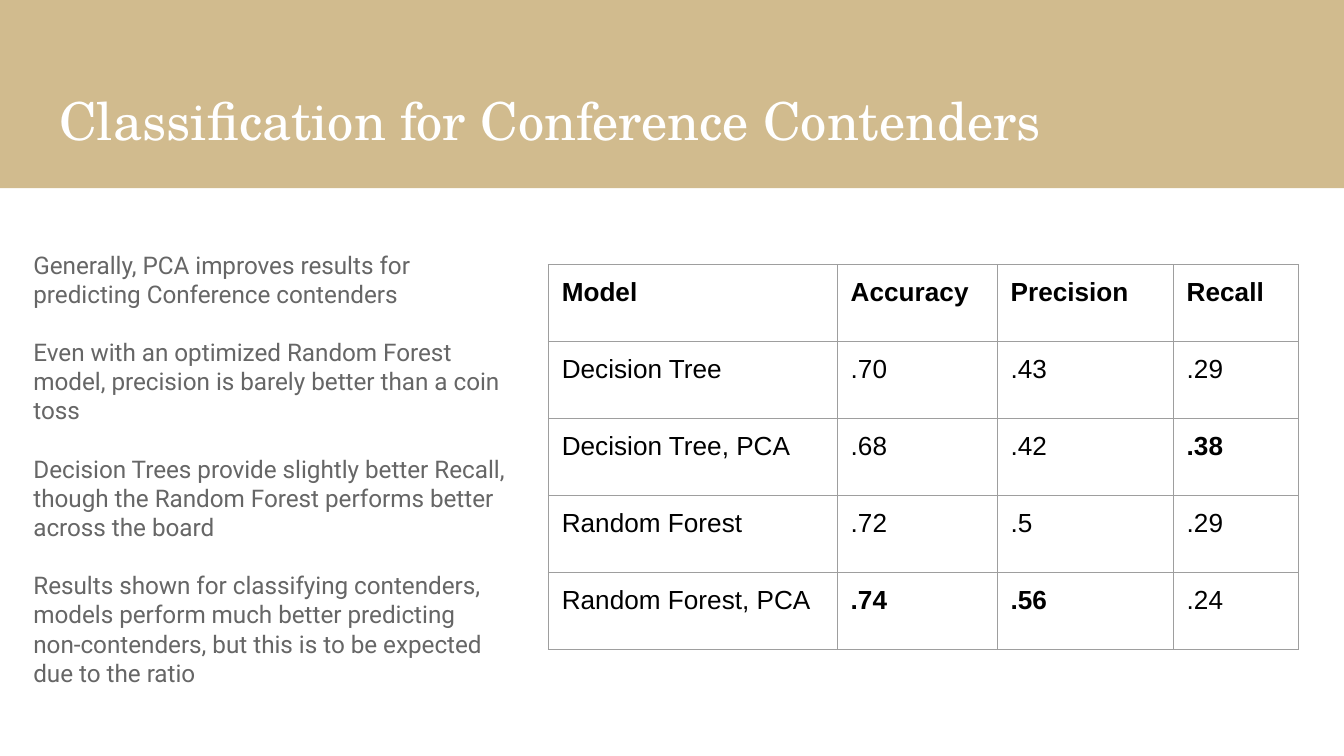
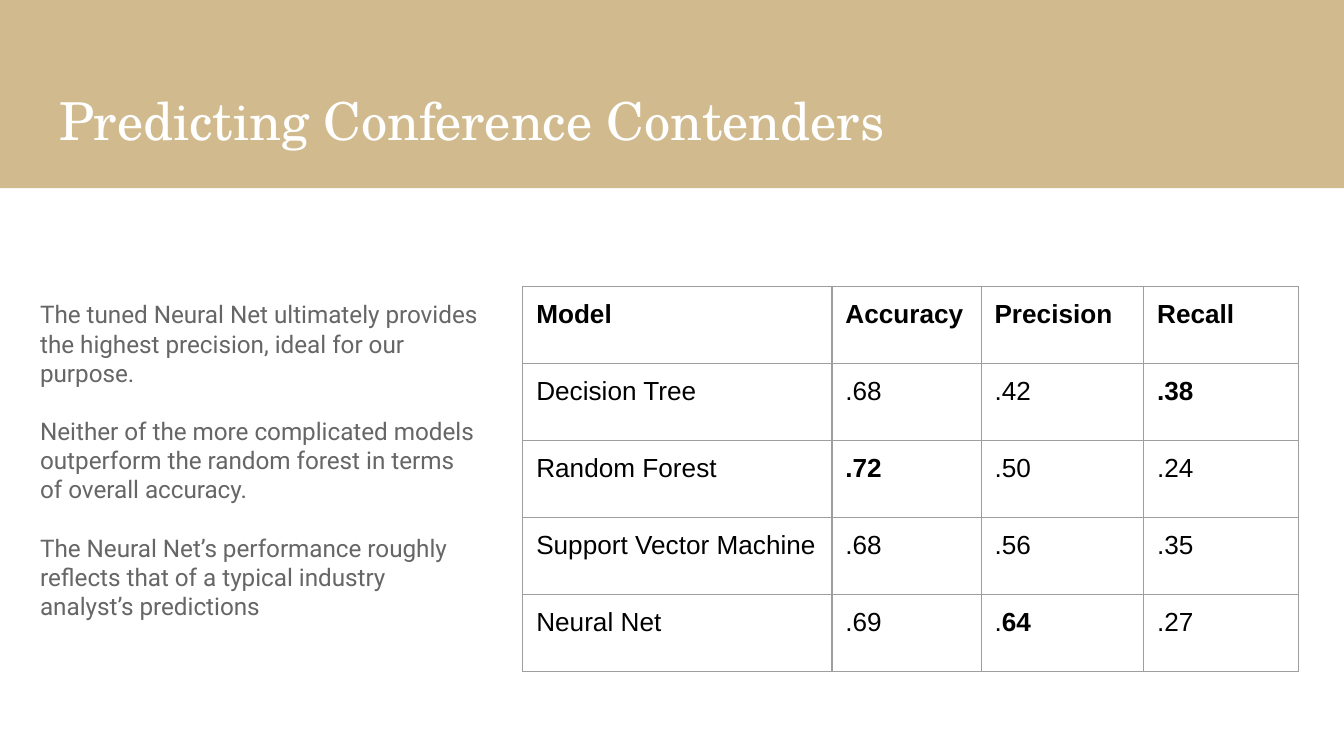
from lxml import etree
from pptx import Presentation
from pptx.dml.color import RGBColor
from pptx.enum.shapes import MSO_SHAPE
from pptx.enum.text import MSO_ANCHOR, PP_ALIGN
from pptx.oxml.ns import qn
from pptx.util import Inches, Pt

RECT = MSO_SHAPE.RECTANGLE
TOP, MIDDLE = MSO_ANCHOR.TOP, MSO_ANCHOR.MIDDLE
LEFT = PP_ALIGN.LEFT
COLUMNS = 100
HEADER = ["Model", "Accuracy", "Precision", "Recall"]


def rgb(value):
    return RGBColor.from_string(value)


def write(p, text, size=14, font="Arial", color="000000", bold=False):
    r = p.add_run()
    r.text = text
    r.font.size = Pt(size)
    r.font.name = font
    r.font.color.rgb = rgb(color)
    r.font.bold = bold


def border(cell, color, width):
    tc_pr = cell._tc.get_or_add_tcPr()
    for i, side in enumerate(("lnL", "lnR", "lnT", "lnB")):
        ln = etree.Element(qn(f"a:{side}"), w=str(Pt(width)))
        fill = etree.SubElement(ln, qn("a:solidFill"))
        etree.SubElement(fill, qn("a:srgbClr"), val=color)
        tc_pr.insert(i, ln)


class Deck:
    GOLD, WHITE, GRAY, RULE = "D1BB8E", "FFFFFF", "666666", "9E9E9E"
    TITLE_FONT, BODY_FONT = "TeX Gyre Schola", "Roboto"
    RIGHT = 96.6
    ROW = 5.73

    def __init__(self):
        self.prs = Presentation()
        self.prs.slide_width = Inches(10)
        self.prs.slide_height = self.prs.slide_width * 9 // 16
        self.s = None

    def grid(self, *cells):
        unit = self.prs.slide_width / COLUMNS
        return [round(c * unit) for c in cells]

    def frame(self, tf, anchor):
        inset, = self.grid(1)
        tf.margin_left = tf.margin_right = inset
        tf.margin_top = tf.margin_bottom = inset
        tf.word_wrap = True
        tf.vertical_anchor = anchor

    def slide(self, title):
        self.s = self.prs.slides.add_slide(self.prs.slide_layouts[5])
        band = self.s.shapes.add_shape(RECT, *self.grid(0, 0, COLUMNS, 14))
        band.shadow.inherit = False
        band.fill.solid()
        band.fill.fore_color.rgb = rgb(self.GOLD)
        band.line.fill.background()
        sp = self.s.shapes.title
        sp._element.addprevious(band._element)
        sp.left, sp.top, sp.width, sp.height = self.grid(3.4, 5.5, 93.2, 6.8)
        self.frame(sp.text_frame, MIDDLE)
        p = sp.text_frame.paragraphs[0]
        p.alignment = LEFT
        write(p, title, size=28, font=self.TITLE_FONT, color=self.WHITE)

    def notes(self, at, paragraphs):
        tf = self.s.shapes.add_textbox(*self.grid(*at)).text_frame
        self.frame(tf, TOP)
        for i, text in enumerate(paragraphs):
            p = tf.add_paragraph() if i else tf.paragraphs[0]
            p.space_before = Pt(15.6 if i else 0)
            write(p, text, size=13, font=self.BODY_FONT, color=self.GRAY)

    def table(self, top, widths, results):
        rows = [["*" + name for name in HEADER]] + results
        width = sum(widths)
        at = self.grid(self.RIGHT - width, top, width, self.ROW * len(rows))
        table = self.s.shapes.add_table(len(rows), len(widths), *at).table
        table.first_row = table.horz_banding = False
        for column, size in zip(table.columns, self.grid(*widths)):
            column.width = size
        for row, values in zip(table.rows, rows):
            row.height, = self.grid(self.ROW)
            for cell, value in zip(row.cells, values):
                self.cell(cell, value)

    def cell(self, cell, value):
        inset, = self.grid(1)
        cell.margin_left = cell.margin_right = inset
        cell.margin_top = cell.margin_bottom = inset
        cell.vertical_anchor = TOP
        cell.fill.background()
        border(cell, self.RULE, 0.75)
        plain, _, strong = value.partition("*")
        for text, bold in ((plain, False), (strong, True)):
            if text:
                write(cell.text_frame.paragraphs[0], text, bold=bold)


def main():
    deck = Deck()

    deck.slide("Classification for Conference Contenders")
    deck.table(19.7, [21.5, 11.9, 13.1, 9.3], [
        ["Decision Tree", ".70", ".43", ".29"],
        ["Decision Tree, PCA", ".68", ".42", "*.38"],
        ["Random Forest", ".72", ".5", ".29"],
        ["Random Forest, PCA", "*.74", "*.56", ".24"],
    ])
    deck.notes((1.5, 17.6, 37.2, 36), [
        "Generally, PCA improves results for predicting Conference contenders",
        "Even with an optimized Random Forest model, precision is barely "
        "better than a coin toss",
        "Decision Trees provide slightly better Recall, though the Random "
        "Forest performs better across the board",
        "Results shown for classifying contenders, models perform much better "
        "predicting non-contenders, but this is to be expected due to the ratio",
    ])

    deck.slide("Predicting Conference Contenders")
    deck.table(21.3, [23, 11.1, 12.1, 11.5], [
        ["Decision Tree", ".68", ".42", "*.38"],
        ["Random Forest", "*.72", ".50", ".24"],
        ["Support Vector Machine", ".68", ".56", ".35"],
        ["Neural Net", ".69", ".*64", ".27"],
    ])
    deck.notes((2, 21.3, 34.5, 28.6), [
        "The tuned Neural Net ultimately provides the highest precision, "
        "ideal for our purpose.",
        "Neither of the more complicated models outperform the random forest "
        "in terms of overall accuracy.",
        "The Neural Net’s performance roughly reflects that of a typical "
        "industry analyst’s predictions",
    ])

    deck.prs.save("out.pptx")


if __name__ == "__main__":
    main()
